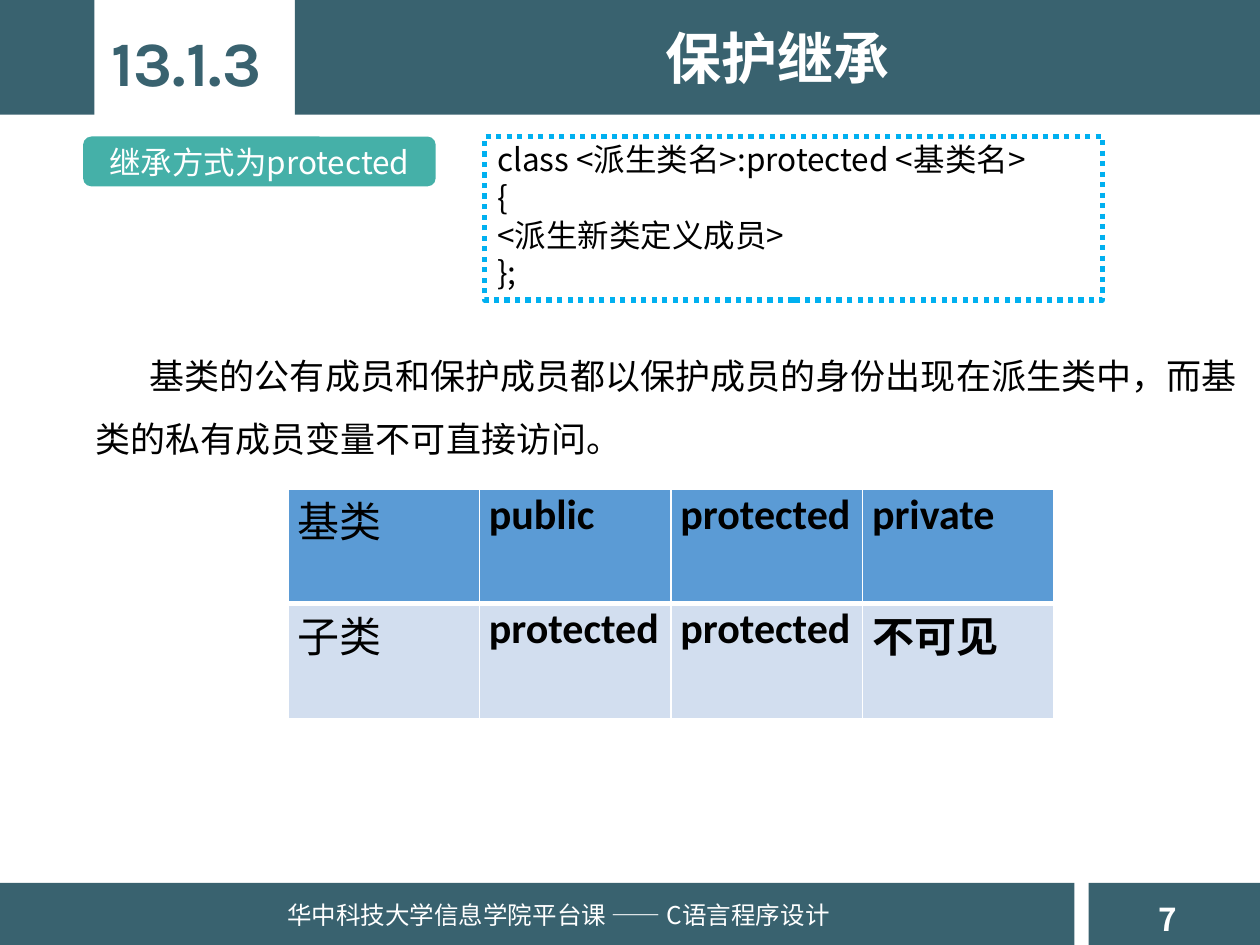
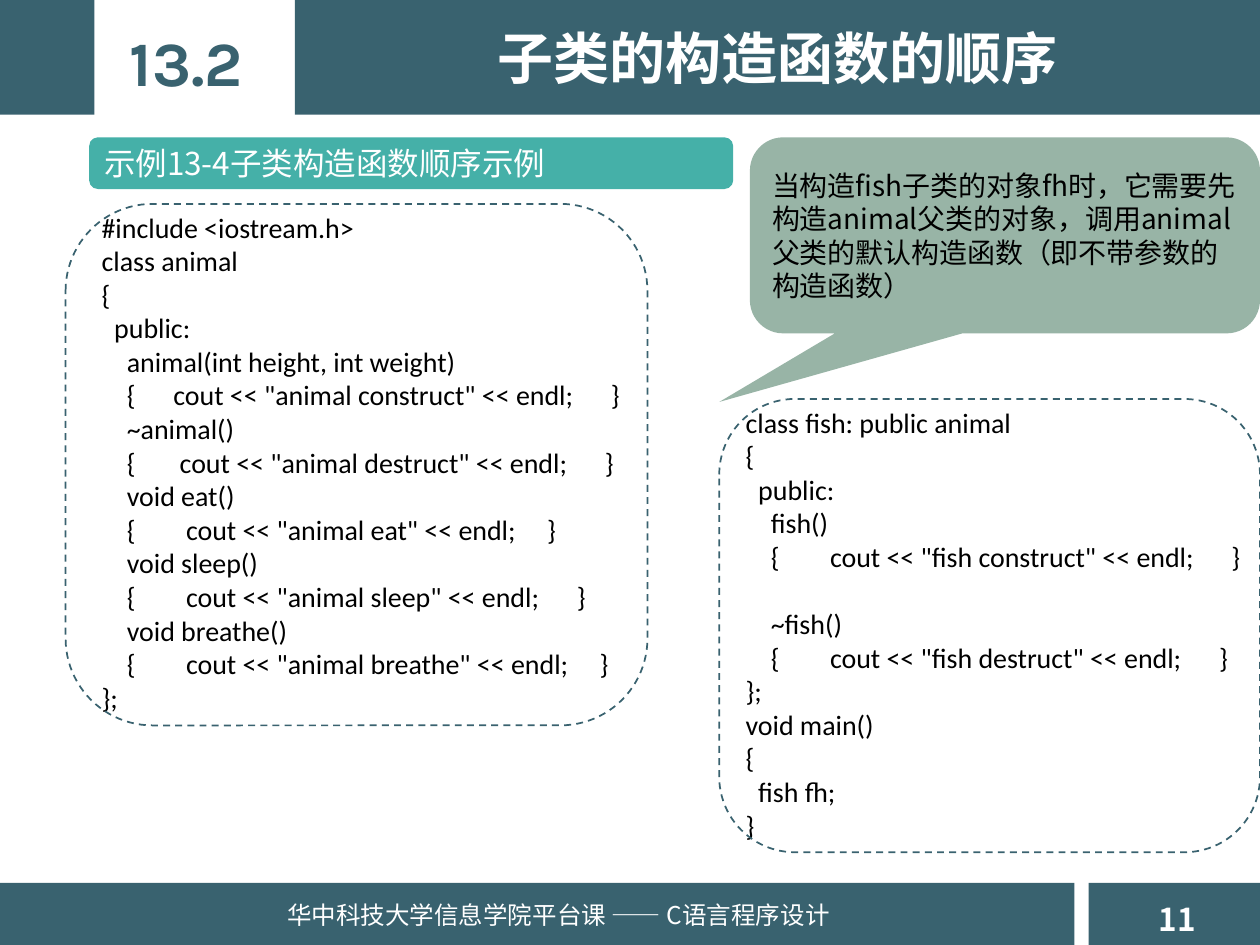
"""Build two slides on C++ inheritance with shared bands, titles and footers."""
from dataclasses import dataclass
from typing import NamedTuple

from lxml import etree
from pptx import Presentation
from pptx import util as u
from pptx.dml.color import RGBColor
from pptx.enum import dml, shapes, text
from pptx.oxml.ns import qn


class Box(NamedTuple):
    """A rectangle in points."""
    left: float
    top: float
    width: float
    height: float

    def inner(self, dx, dy, width, height):
        """Return a box offset from this one's corner."""
        return Box(self.left + dx, self.top + dy, width, height)

    def lengths(self):
        """Return the four sides as lengths."""
        return [u.Pt(side) for side in self]


@dataclass(frozen=True)
class Theme:
    """Colours, fonts and type sizes."""
    band: str = "39626F"
    pill: str = "45B0A8"
    callout: str = "98B4A6"
    dots: str = "00B0F0"
    table_head: str = "5B9BD5"
    table_body: str = "D2DEEF"
    white: str = "FFFFFF"
    black: str = "000000"
    cjk: str = "Noto Sans CJK SC"
    latin: str = "Calibri"
    number_font: str = "Karla"
    section: int = 36
    title: int = 32
    cell: int = 24
    body: int = 20
    label: int = 18
    code: int = 16
    footer: int = 14


THEME = Theme()
PAGE = Box(0, 0, 720, 540)
HEADER = Box(0, 0, 720, 65.5)
FOOTER = Box(0, 504.5, 720, 35.5)
LEFT, CENTER = text.PP_ALIGN.LEFT, text.PP_ALIGN.CENTER
COURSE = "华中科技大学信息学院平台课 —— C语言程序设计"

SYNTAX = """class <派生类名>:protected <基类名>
{
<派生新类定义成员>
};"""

ACCESS = [["基类", "public", "protected", "private"],
          ["子类", "protected", "protected", "不可见"]]

ANIMAL = """#include <iostream.h>
class animal
{
  public:
    animal(int height, int weight)
    {      cout << "animal construct" << endl;      }
    ~animal()
    {       cout << "animal destruct" << endl;      }
    void eat()
    {        cout << "animal eat" << endl;     }
    void sleep()
    {        cout << "animal sleep" << endl;      }
    void breathe()
    {        cout << "animal breathe" << endl;     }
};"""

FISH = """class fish: public animal
{
  public:
    fish()
    {        cout << "fish construct" << endl;      }
    ~fish()
    {        cout << "fish destruct" << endl;      }
};
void main()
{
  fish fh;
}"""


def rgb(value):
    """Turn a hex string into a colour."""
    return RGBColor.from_string(value)


def write(frame, content, size, color=THEME.black, font=THEME.cjk, bold=False, align=LEFT):
    """Write each line of content as a paragraph with one run."""
    frame.word_wrap = True
    for index, line in enumerate(content.split("\n")):
        paragraph = frame.add_paragraph() if index else frame.paragraphs[0]
        paragraph.alignment = align
        run = paragraph.add_run()
        run.text = line
        run.font.size = u.Pt(size)
        run.font.bold = bold
        run.font.color.rgb = rgb(color)
        run.font.name = font
        east_asian = etree.SubElement(run.font._element, qn("a:ea"))
        east_asian.set("typeface", THEME.cjk)


def add_text(slide, box, content, size, **style):
    """Add a wrapping text box and return its text frame."""
    frame = slide.shapes.add_textbox(*box.lengths()).text_frame
    write(frame, content, size, **style)
    return frame


def add_panel(slide, kind, box, fill=None, line=None, width=1, dash=None):
    """Add a flat preset shape, filled or outlined."""
    panel = slide.shapes.add_shape(kind, *box.lengths())
    panel.shadow.inherit = False
    if fill:
        panel.fill.solid()
        panel.fill.fore_color.rgb = rgb(fill)
    else:
        panel.fill.background()
    if line:
        panel.line.color.rgb = rgb(line)
        panel.line.width = u.Pt(width)
        panel.line.dash_style = dash
    else:
        panel.line.fill.background()
    return panel


def add_band(slide, box):
    """Add one dark rectangle of the slide frame."""
    add_panel(slide, shapes.MSO_SHAPE.RECTANGLE, box, fill=THEME.band)


def add_header(slide, box, section, title):
    """Add the top band with section number and title."""
    add_band(slide, box.inner(0, 0, 54, box.height))
    add_band(slide, box.inner(168.5, 0, box.width - 168.5, box.height))
    add_text(slide, box.inner(47.5, 10, 118, 51), section, THEME.section,
             color=THEME.band, font=THEME.number_font, bold=True, align=CENTER)
    add_text(slide, box.inner(227.5, 10, 433.5, 46), title, THEME.title,
             color=THEME.white, bold=True, align=CENTER)


def add_footer(slide, box, number):
    """Add the bottom band with course name and page number."""
    add_band(slide, box.inner(0, 0, 614, box.height))
    add_band(slide, box.inner(622, 0, box.width - 622, box.height))
    add_text(slide, box.inner(655, 6, 50, 29), number, THEME.label,
             color=THEME.white, bold=True)
    add_text(slide, box.inner(157, 6, 380, 24.5), COURSE, THEME.footer, color=THEME.white)


def add_pill(slide, box, label, align):
    """Add a rounded heading label."""
    pill = add_panel(slide, shapes.MSO_SHAPE.ROUNDED_RECTANGLE, box, fill=THEME.pill)
    pill.text_frame.vertical_anchor = text.MSO_ANCHOR.MIDDLE
    write(pill.text_frame, label, THEME.label, color=THEME.white, align=align)


def add_syntax(slide, box):
    """Add the class syntax inside a dotted frame."""
    add_text(slide, box.inner(0, -1.5, box.width, box.height), SYNTAX, THEME.label)
    add_panel(slide, shapes.MSO_SHAPE.RECTANGLE, box, line=THEME.dots, width=3,
              dash=dml.MSO_LINE.ROUND_DOT)


def add_explanation(slide, box, content):
    """Add an indented paragraph with wide line spacing."""
    frame = add_text(slide, box, content, THEME.body)
    paragraph = frame.paragraphs[0]
    paragraph.line_spacing = 1.5
    paragraph._p.get_or_add_pPr().set("indent", str(u.Pt(31)))


def add_border(cell, side, width):
    """Draw one white cell border."""
    line = etree.SubElement(cell._tc.get_or_add_tcPr(), qn(f"a:ln{side}"), w=str(u.Pt(width)))
    fill = etree.SubElement(line, qn("a:solidFill"))
    etree.SubElement(fill, qn("a:srgbClr"), val=THEME.white)


def add_access_table(slide, box):
    """Add the table of member access in base and derived class."""
    table = slide.shapes.add_table(len(ACCESS), len(ACCESS[0]), *box.lengths()).table
    table.first_row = table.horz_banding = False
    for row_index, entries in enumerate(ACCESS):
        table.rows[row_index].height = u.Pt(box.height / len(ACCESS))
        head = row_index == 0
        for column, entry in enumerate(entries):
            table.columns[column].width = u.Pt(box.width / len(entries))
            cell = table.cell(row_index, column)
            cell.margin_left = cell.margin_right = u.Pt(5.4)
            cell.margin_top = cell.margin_bottom = u.Pt(0)
            for side, width in zip("LRTB", (1, 1, 1, 3) if head else (1, 1, 3, 1)):
                add_border(cell, side, width)
            cell.fill.solid()
            cell.fill.fore_color.rgb = rgb(THEME.table_head if head else THEME.table_body)
            write(cell.text_frame, entry, THEME.cell, bold=column > 0,
                  font=THEME.latin if column else THEME.cjk)


def add_code(slide, box, code, inset):
    """Add code in a dashed rounded frame and return its text frame."""
    frame = add_text(slide, box.inner(inset, 0, box.width - inset, box.height), code,
                     THEME.code, font=THEME.latin)
    frame.margin_right = u.Pt(0)
    add_panel(slide, shapes.MSO_SHAPE.ROUNDED_RECTANGLE, box, line=THEME.band,
              dash=dml.MSO_LINE.DASH)
    return frame


def add_callout(slide, box, remark):
    """Add a speech bubble that points at the code below."""
    bubble = add_panel(slide, shapes.MSO_SHAPE.ROUNDED_RECTANGULAR_CALLOUT, box,
                       fill=THEME.callout)
    for index, value in enumerate((-0.56, 0.85, 0.17)):
        bubble.adjustments[index] = value
    bubble.text_frame.vertical_anchor = text.MSO_ANCHOR.MIDDLE
    write(bubble.text_frame, remark, THEME.code)


def start_slide(deck, section, title, number):
    """Add a blank slide with the shared header and footer."""
    slide = deck.slides.add_slide(deck.slide_layouts[6])
    add_header(slide, HEADER, section, title)
    add_footer(slide, FOOTER, number)
    return slide


def build_protected_slide(deck, page):
    """Build the slide on protected inheritance."""
    slide = start_slide(deck, "13.1.3", "保护继承", "7")
    add_syntax(slide, page.inner(277, 78, 353, 93.5))
    add_pill(slide, page.inner(47.5, 78, 201.5, 28.5), "继承方式为protected", CENTER)
    add_explanation(slide, page.inner(47.5, 187, 672.5, 76),
                    "基类的公有成员和保护成员都以保护成员的身份出现在派生类中，"
                    "而基类的私有成员变量不可直接访问。")
    add_access_table(slide, page.inner(164.5, 279.5, 438, 131))


def build_constructor_slide(deck, page):
    """Build the slide on constructor order."""
    slide = start_slide(deck, "13.2", "子类的构造函数的顺序", "11")
    add_code(slide, page.inner(37.5, 116.5, 332.5, 298), ANIMAL, 13.5)
    fish = add_code(slide, page.inner(411, 228, 309, 259), FISH, 8)
    destructor = FISH.split("\n").index("    ~fish()")
    fish.paragraphs[destructor].space_before = u.Pt(19.2)
    add_pill(slide, page.inner(51, 78.5, 368, 29.5), "示例13-4子类构造函数顺序示例", LEFT)
    add_callout(slide, page.inner(428.5, 78.5, 291.5, 112),
                "当构造fish子类的对象fh时，它需要先构造animal父类的对象，"
                "调用animal父类的默认构造函数（即不带参数的构造函数）")


def main():
    """Build and save the deck."""
    deck = Presentation()
    deck.slide_width, deck.slide_height = u.Pt(PAGE.width), u.Pt(PAGE.height)
    build_protected_slide(deck, PAGE)
    build_constructor_slide(deck, PAGE)
    deck.save("out.pptx")


if __name__ == "__main__":
    main()
